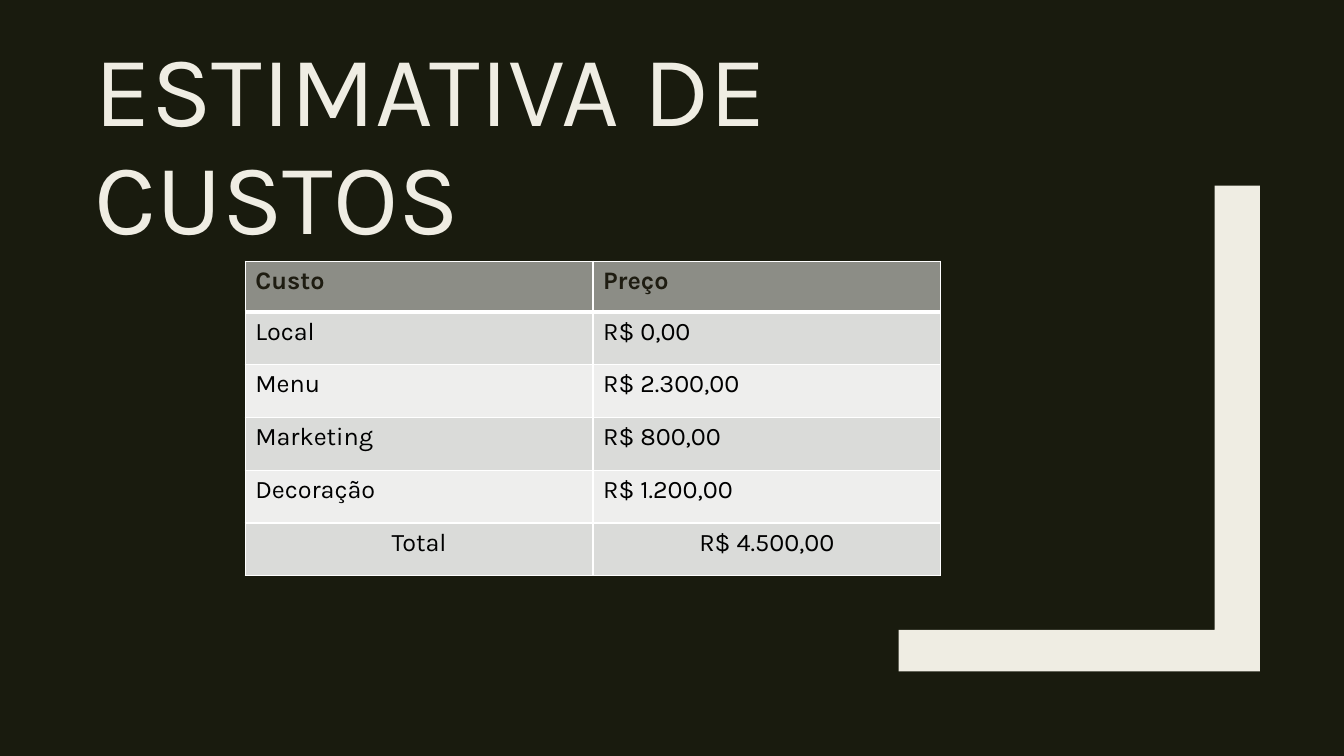
import pptx
import pptx.util
import pptx.dml.color
import pptx.enum.text
import lxml.etree

Cm, Pt = pptx.util.Cm, pptx.util.Pt
RGB = pptx.dml.color.RGBColor.from_string
NS = "http://schemas.openxmlformats.org/drawingml/2006/main"
HUES = {"back": "191B0E", "cream": "EFEDE3", "head": "8C8D86", "ink": "1E1C11",
        "odd": "DADBD9", "even": "EEEEED", "text": "000000", "line": "FFFFFF"}


def style(run, hue, **looks):
    run.font.color.rgb = RGB(HUES[hue])
    for key, val in {"name": "Karla", **looks}.items():
        setattr(run.font, key, val)


def border(cell, side, width):
    line = lxml.etree.Element(f"{{{NS}}}{side}", w=str(Pt(width)))
    fill = lxml.etree.SubElement(line, f"{{{NS}}}solidFill")
    lxml.etree.SubElement(fill, f"{{{NS}}}srgbClr", val=HUES["line"])
    return line


deck = pptx.Presentation()
deck.slide_width, deck.slide_height = Cm(33.87), Cm(19.05)
slide = deck.slides.add_slide(deck.slide_layouts[6])
slide.background.fill.solid()
slide.background.fill.fore_color.rgb = RGB(HUES["back"])

# Corner bracket
points = [(30.61, 4.68), (31.75, 4.68), (31.75, 16.92),
          (22.65, 16.92), (22.65, 15.87), (30.61, 15.87)]
points = [(Cm(x), Cm(y)) for x, y in points]
path = slide.shapes.build_freeform(*points[0])
path.add_line_segments(points[1:], close=True)
corner = path.convert_to_shape()
corner.shadow.inherit = False
corner.fill.solid()
corner.fill.fore_color.rgb = RGB(HUES["cream"])
corner.line.fill.background()

# Title
frame = slide.shapes.add_textbox(Cm(2.13), Cm(3.6), Cm(26.7), Cm(2.98)).text_frame
frame.word_wrap = True
frame.vertical_anchor = pptx.enum.text.MSO_ANCHOR.BOTTOM
title = frame.paragraphs[0]
title.line_spacing = 0.89
run = title.add_run()
run.text = "ESTIMATIVA DE CUSTOS"
style(run, "cream", size=Pt(72))

# Cost table
costs = [("Custo", "Preço"), ("Local", "R$ 0,00"), ("Menu", "R$ 2.300,00"),
         ("Marketing", "R$ 800,00"), ("Decoração", "R$ 1.200,00"),
         ("Total", "R$ 4.500,00")]
table = slide.shapes.add_table(len(costs), 2, Cm(6.18), Cm(6.58),
                               Cm(17.53), Cm(7.93)).table
for r, words in enumerate(costs):
    head, total = r == 0, r == len(costs) - 1
    table.rows[r].height = Cm(1.28 if head else 1.33)
    for c, word in enumerate(words):
        cell = table.cell(r, c)
        para = cell.text_frame.paragraphs[0]
        if total:
            para.alignment = pptx.enum.text.PP_ALIGN.CENTER
        run = para.add_run()
        run.text = word
        style(run, "ink" if head else "text", size=Pt(18), bold=head)
        cell.fill.solid()
        cell.fill.fore_color.rgb = RGB(HUES["head" if head else "odd" if r % 2 else "even"])
        # Borders go before the fill; the header rule is thicker
        props = cell._tc.get_or_add_tcPr()
        for i, side in enumerate(("lnL", "lnR", "lnT", "lnB")):
            thick = (head and side == "lnB") or (r == 1 and side == "lnT")
            props.insert(i, border(cell, side, 3 if thick else 1))

deck.save("out.pptx")
